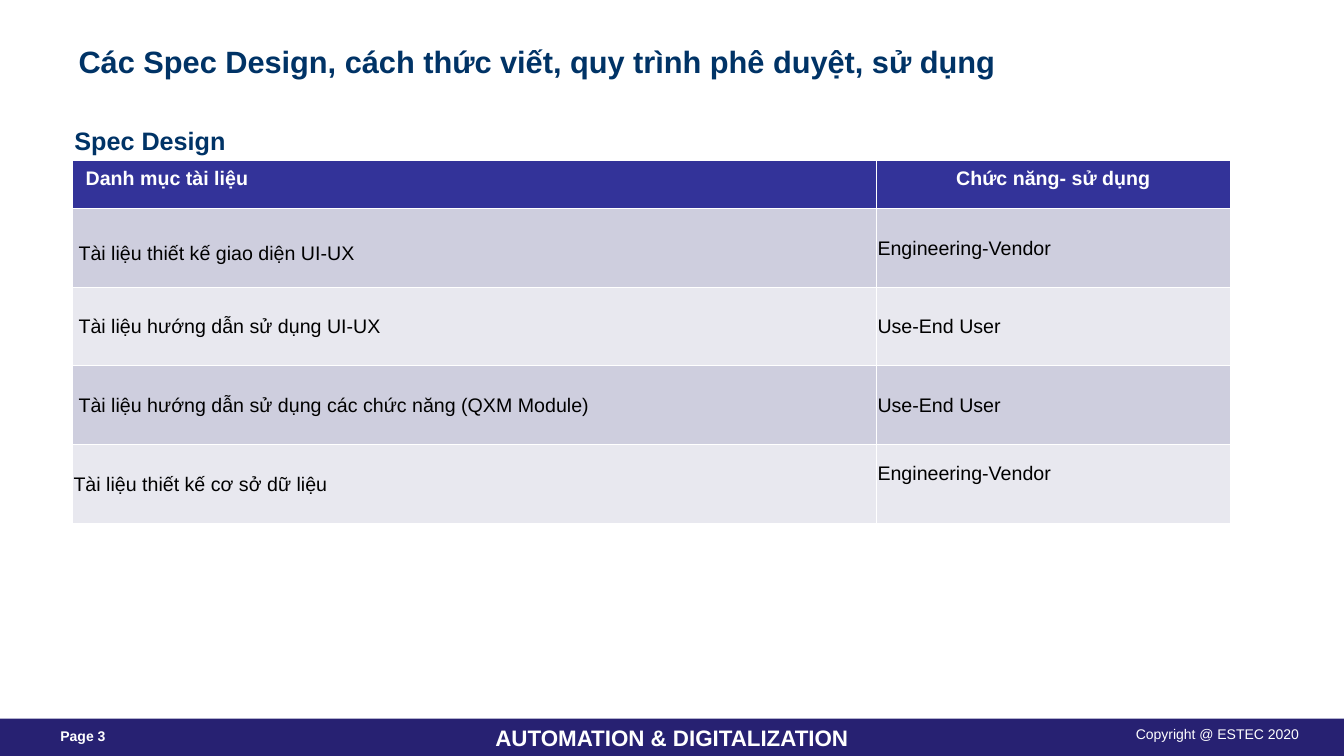
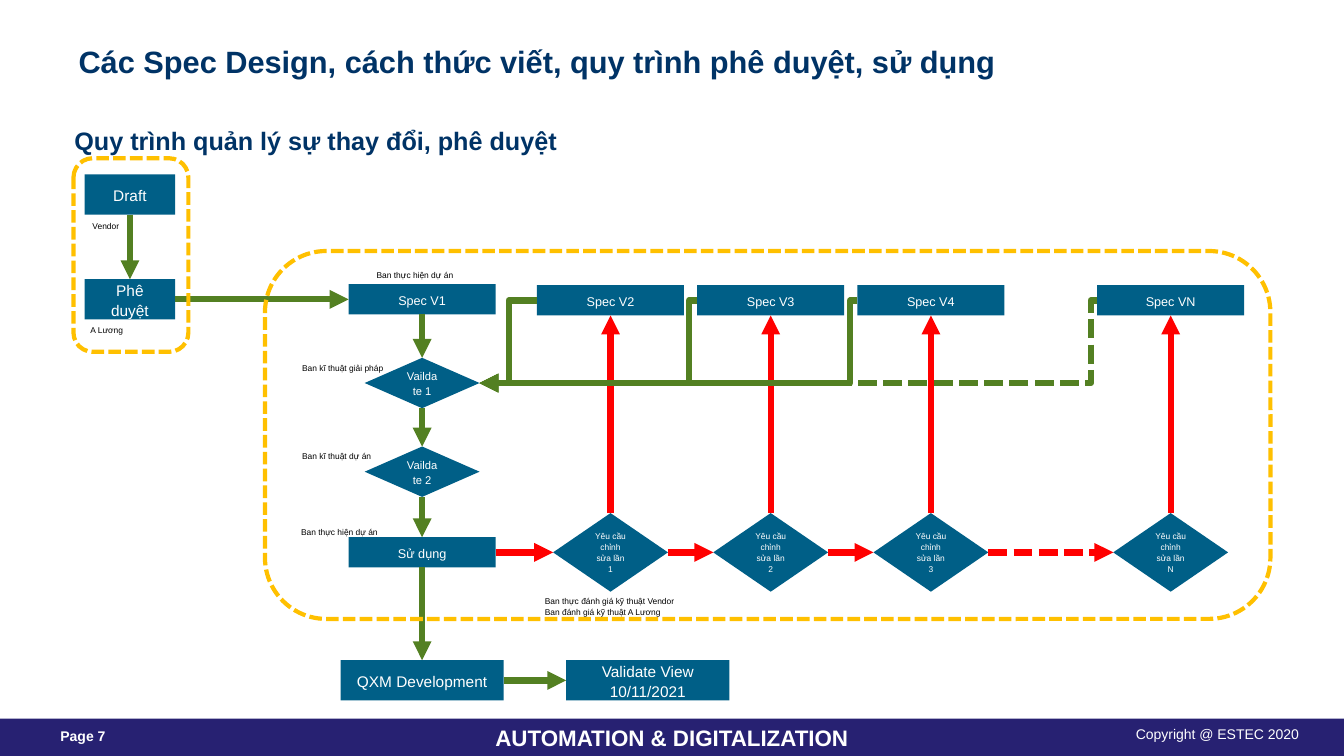
"""Builds two slides on design specs: a document list and an approval flow."""
from enum import IntEnum

from lxml.etree import SubElement
from pptx import Presentation
from pptx.dml.color import RGBColor
from pptx.enum.dml import MSO_LINE
from pptx.enum.shapes import MSO_CONNECTOR, MSO_SHAPE
from pptx.enum.text import MSO_ANCHOR, PP_ALIGN
from pptx.oxml.ns import qn
from pptx.util import Pt

PX = 9144
WIDTH, HEIGHT = 1334, 750
FONT = "Arial"

WHITE = RGBColor(0xFF, 0xFF, 0xFF)
BLACK = RGBColor(0x00, 0x00, 0x00)
NAVY = RGBColor(0x00, 0x33, 0x66)
BAND = RGBColor(0x27, 0x21, 0x72)
HEADER = RGBColor(0x33, 0x33, 0x99)
ROW_DARK = RGBColor(0xCE, 0xCE, 0xDE)
ROW_LIGHT = RGBColor(0xE8, 0xE8, 0xEF)
STEP = RGBColor(0x00, 0x5F, 0x87)
GREEN = RGBColor(0x53, 0x80, 0x22)
RED = RGBColor(0xFF, 0x00, 0x00)
GOLD = RGBColor(0xFF, 0xC0, 0x00)

TITLE = "Các Spec Design, cách thức viết, quy trình phê duyệt, sử dụng"
DOCUMENTS = [
    ("Tài liệu thiết kế giao diện UI-UX", "Engineering-Vendor"),
    ("Tài liệu hướng dẫn sử dụng UI-UX", "Use-End User"),
    ("Tài liệu hướng dẫn sử dụng các chức năng (QXM Module)", "Use-End User"),
    ("Tài liệu thiết kế cơ sở dữ liệu", "Engineering-Vendor"),
]
REVISIONS = [("2", "1", 533, 28), ("3", "2", 692, 8),
             ("4", "3", 851, 7), ("N", "N", 1089, 6)]
LABELS = [
    ("Ban kĩ thuật giải pháp", 290, 354),
    ("Ban kĩ thuật dự án", 290, 442),
    ("Ban thực hiện dự án", 289, 517),
    ("Ban thực hiện dự án", 364, 262),
    ("Ban thực đánh giá kỹ thuật Vendor\nBan đánh giá kỹ thuật A Lương", 531, 585),
    ("A Lương", 80, 317),
    ("Vendor", 82, 213),
]


class Side(IntEnum):
    """Connection sites shared by rectangles and decisions."""
    TOP = 0
    LEFT = 1
    BOTTOM = 2
    RIGHT = 3


def px(*lengths):
    """Turn px lengths into EMU."""
    return [length * PX for length in lengths]


def write(frame, text, size, color, bold=False, align=PP_ALIGN.LEFT,
          spacing=1.0, anchor=MSO_ANCHOR.TOP, insets=(10, 5, 10, 5)):
    """Fill a text frame or table cell with evenly formatted paragraphs."""
    holder = getattr(frame, "text_frame", frame)
    holder.text = text
    holder.word_wrap = True
    frame.vertical_anchor = anchor
    (frame.margin_left, frame.margin_top,
     frame.margin_right, frame.margin_bottom) = px(*insets)
    for paragraph in holder.paragraphs:
        paragraph.alignment = align
        paragraph.line_spacing = spacing
        font = paragraph.font
        font.name, font.size, font.bold = FONT, Pt(size), bold
        font.color.rgb = color


def add_text(slide, box, text, size, color, **style):
    """Add a text box."""
    write(slide.shapes.add_textbox(*px(*box)).text_frame, text, size, color, **style)


def add_block(slide, kind, box, fill):
    """Add a plain filled shape."""
    block = slide.shapes.add_shape(kind, *px(*box))
    block.shadow.inherit = False
    block.fill.solid()
    block.fill.fore_color.rgb = fill
    block.line.fill.background()
    return block


def add_step(slide, text, box, size, kind=MSO_SHAPE.RECTANGLE):
    """Add one step of the flow."""
    step = add_block(slide, kind, box, STEP)
    write(step.text_frame, text, size, WHITE, align=PP_ALIGN.CENTER,
          spacing=1.1, anchor=MSO_ANCHOR.MIDDLE, insets=(12, 6, 12, 6))
    return step


def add_decision(slide, text, box, size):
    """Add one decision of the flow."""
    return add_step(slide, text, box, size, MSO_SHAPE.FLOWCHART_DECISION)


def add_frame(slide, box):
    """Add a dashed rounded frame around a stage."""
    frame = slide.shapes.add_shape(MSO_SHAPE.ROUNDED_RECTANGLE, *px(*box))
    frame.shadow.inherit = False
    frame.fill.background()
    frame.line.color.rgb = GOLD
    frame.line.width = Pt(3)
    frame.line.dash_style = MSO_LINE.SQUARE_DOT


def add_arrow(slide, start, start_side, end, end_side, color, dashed=False, bend=None):
    """Join two steps with an arrow, bent at a share of its width if asked."""
    kind = MSO_CONNECTOR.STRAIGHT if bend is None else MSO_CONNECTOR.ELBOW
    arrow = slide.shapes.add_connector(kind, 0, 0, 0, 0)
    arrow.begin_connect(start, start_side)
    arrow.end_connect(end, end_side)
    arrow.line.color.rgb = color
    arrow.line.width = Pt(4.5)
    if dashed:
        arrow.line.dash_style = MSO_LINE.SQUARE_DOT
    properties = arrow._element.spPr
    SubElement(properties.find(qn("a:ln")), qn("a:tailEnd"), type="triangle")
    SubElement(properties, qn("a:effectLst"))
    if bend is not None:
        guides = properties.find(qn("a:prstGeom")).get_or_add_avLst()
        SubElement(guides, qn("a:gd"), name="adj1", fmla=f"val {round(bend * 100000)}")


def add_page(deck, number, heading):
    """Add a slide with the shared title, heading and footer."""
    slide = deck.slides.add_slide(deck.slide_layouts[5])
    band = add_block(slide, MSO_SHAPE.RECTANGLE, (0, 713, WIDTH, 37), BAND)
    write(band.text_frame, "AUTOMATION & DIGITALIZATION", 16, WHITE, bold=True,
          align=PP_ALIGN.CENTER, anchor=MSO_ANCHOR.MIDDLE)
    add_text(slide, (1, 720, 152, 28), f"Page {number}", 10, WHITE, bold=True,
             spacing=1.1, insets=(59, 0, 0, 13))
    add_text(slide, (627, 720, 705, 28), "Copyright @ ESTEC 2020", 10, WHITE,
             align=PP_ALIGN.RIGHT, insets=(0, 0, 43, 13))
    title = slide.shapes.title
    title.left, title.top, title.width, title.height = px(68, 36, 1200, 50)
    write(title.text_frame, TITLE, 22, NAVY, bold=True, anchor=MSO_ANCHOR.MIDDLE)
    add_text(slide, (64, 119, 667, 40), heading, 18, NAVY, bold=True)
    return slide


def fill_cell(cell, fill, text, color, **style):
    """Colour a table cell and write its text."""
    cell.fill.solid()
    cell.fill.fore_color.rgb = fill
    write(cell, text, 14, color, **style)


def add_documents(slide):
    """Add the table of documents and their users."""
    table = slide.shapes.add_table(
        len(DOCUMENTS) + 1, 2, *px(72, 159, 1149, 360)).table
    table.columns[0].width, table.columns[1].width = px(798, 351)
    table.rows[0].height = 48 * PX
    headings = [("Danh mục tài liệu", PP_ALIGN.LEFT),
                ("Chức năng- sử dụng", PP_ALIGN.CENTER)]
    for column, (heading, align) in enumerate(headings):
        fill_cell(table.cell(0, column), HEADER, heading, WHITE, bold=True,
                  align=align, insets=(13, 7, 13, 7))
    last = len(DOCUMENTS)
    for row, (document, user) in enumerate(DOCUMENTS, 1):
        table.rows[row].height = 78 * PX
        fill = ROW_DARK if row % 2 else ROW_LIGHT
        fill_cell(table.cell(row, 0), fill, document, BLACK,
                  anchor=MSO_ANCHOR.MIDDLE, spacing=1.5 if row == 1 else 1.0,
                  insets=(1 if row == last else 6, 1, 1, 0))
        fill_cell(table.cell(row, 1), fill, user, BLACK, anchor=MSO_ANCHOR.MIDDLE,
                  insets=(1, 1, 1, 22 if row == last else 0))


def add_flow(slide):
    """Add the change and approval flow."""
    draft = add_step(slide, "Draft", (84, 173, 90, 40), 11)
    approval = add_step(slide, "Phê duyệt", (84, 277, 90, 40), 11)
    first_spec = add_step(slide, "Spec V1", (346, 282, 146, 30), 9)
    first_check = add_decision(slide, "Vaildate 1", (362, 355, 114, 50), 8)
    second_check = add_decision(slide, "Vaildate 2", (362, 443, 114, 50), 8)
    usage = add_step(slide, "Sử dụng", (346, 533, 146, 30), 9)
    development = add_step(slide, "QXM Development", (338, 655, 162, 40), 11)
    view = add_step(slide, "Validate View 10/11/2021", (562, 655, 162, 40), 11)

    column = [first_spec, first_check, second_check, usage, development]
    for upper, lower in [(draft, approval), *zip(column, column[1:])]:
        add_arrow(slide, upper, Side.BOTTOM, lower, Side.TOP, GREEN)
    for left, right in [(approval, first_spec), (development, view)]:
        add_arrow(slide, left, Side.RIGHT, right, Side.LEFT, GREEN)

    previous = usage
    for version, round_name, x, gap in REVISIONS:
        open_ended = version == "N"
        spec = add_step(slide, f"Spec V{version}", (x, 283, 146, 30), 9)
        request = add_decision(slide, f"Yêu cầu chỉnh sửa lần {round_name}",
                               (x + 16, 509, 114, 78), 6)
        add_arrow(slide, previous, Side.RIGHT, request, Side.LEFT, RED, open_ended)
        add_arrow(slide, request, Side.TOP, spec, Side.BOTTOM, RED)
        add_arrow(slide, spec, Side.LEFT, first_check, Side.RIGHT, GREEN,
                  open_ended, bend=gap / (x - 476))
        previous = request

    add_frame(slide, (73, 157, 114, 192))
    add_frame(slide, (263, 249, 998, 365))
    for label, x, y in LABELS:
        add_text(slide, (x, y, 160, 31), label, 6, BLACK, spacing=1.1)


def main():
    """Build and save the deck."""
    deck = Presentation()
    deck.slide_width, deck.slide_height = px(WIDTH, HEIGHT)
    add_documents(add_page(deck, 3, "Spec Design"))
    add_flow(add_page(deck, 7, "Quy trình quản lý sự thay đổi, phê duyệt"))
    deck.save("out.pptx")


if __name__ == "__main__":
    main()
